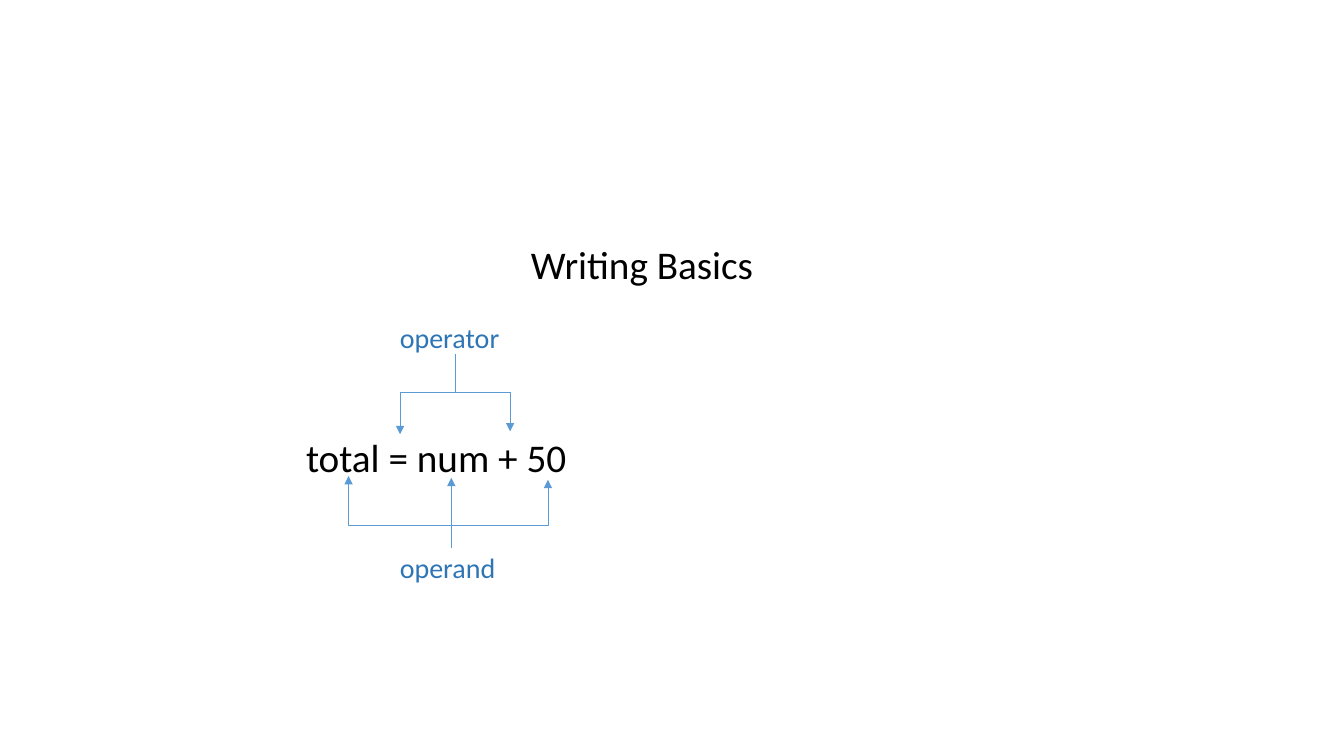
from dataclasses import dataclass

from lxml.etree import SubElement
from pptx import Presentation
from pptx.dml.color import RGBColor
from pptx.enum.shapes import MSO_CONNECTOR
from pptx.enum.text import MSO_ANCHOR, MSO_AUTO_SIZE, PP_ALIGN
from pptx.oxml.ns import qn
from pptx.shapes.base import BaseShape
from pptx.slide import Slide
from pptx.util import Pt

COLORS = {"ink": "000000", "label": "2E75B6", "arrow": "5B9BD5"}
FONT = "Calibri"


@dataclass
class Label:
    text: str
    left: float
    top: float
    width: float
    height: float
    size: float
    color: str


@dataclass
class Arrow:
    start: tuple[float, float]
    end: tuple[float, float]
    bent: bool = False
    head: bool = True


TITLE = Label("Writing Basics", 372, 168, 200, 41, 28, "ink")
LABELS = [
    Label("total = num + 50", 211.5, 306, 240, 41, 28, "ink"),
    Label("operator", 278.5, 225.5, 94, 31.5, 20, "label"),
    Label("operand", 278.5, 389.5, 94, 31.5, 20, "label"),
]

# Points where the arrows branch
UPPER = (325.2, 280.6)
LOWER = (322.4, 375)
ARROWS = [
    Arrow((UPPER[0], 252.7), UPPER, head=False),
    Arrow(UPPER, (364.4, 308.2), bent=True),
    Arrow(UPPER, (285.8, 310.2), bent=True),
    Arrow(LOWER, (391.4, 342.7), bent=True),
    Arrow(LOWER, (249, 340), bent=True),
    Arrow((LOWER[0], 391.5), (LOWER[0], 341.3)),
]


def write(shape: BaseShape, label: Label) -> None:
    """Place a text shape and fill it with one formatted run."""
    shape.left, shape.top = Pt(label.left), Pt(label.top)
    shape.width, shape.height = Pt(label.width), Pt(label.height)
    frame = shape.text_frame
    frame.word_wrap = True
    frame.auto_size = MSO_AUTO_SIZE.SHAPE_TO_FIT_TEXT
    frame.vertical_anchor = MSO_ANCHOR.TOP
    line = frame.paragraphs[0]
    line.alignment = PP_ALIGN.LEFT
    run = line.add_run()
    run.text = label.text
    run.font.name = FONT
    run.font.size = Pt(label.size)
    run.font.color.rgb = RGBColor.from_string(COLORS[label.color])


def draw(slide: Slide, arrow: Arrow) -> None:
    """Draw a straight line, or an elbow that runs across and then up or down."""
    kind = MSO_CONNECTOR.ELBOW if arrow.bent else MSO_CONNECTOR.STRAIGHT
    ends = [Pt(value) for value in (*arrow.start, *arrow.end)]
    link = slide.shapes.add_connector(kind, *ends)
    link.line.color.rgb = RGBColor.from_string(COLORS["arrow"])
    link.line.width = Pt(0.5)
    props = link._element.spPr
    if arrow.bent:
        guides = props.find(qn("a:prstGeom")).find(qn("a:avLst"))
        SubElement(guides, qn("a:gd"), name="adj1", fmla="val 100000")
    if arrow.head:
        SubElement(props.find(qn("a:ln")), qn("a:tailEnd"), type="triangle")
    SubElement(props, qn("a:effectLst"))


def main() -> None:
    deck = Presentation()
    deck.slide_width, deck.slide_height = Pt(960), Pt(540)
    slide = deck.slides.add_slide(deck.slide_layouts.get_by_name("Title Only"))

    # Title
    write(slide.shapes.title, TITLE)

    # Expression and the names of its parts
    for label in LABELS:
        write(slide.shapes.add_textbox(0, 0, 0, 0), label)

    # Arrows from the names to the parts
    for arrow in ARROWS:
        draw(slide, arrow)

    deck.save("out.pptx")


if __name__ == "__main__":
    main()
